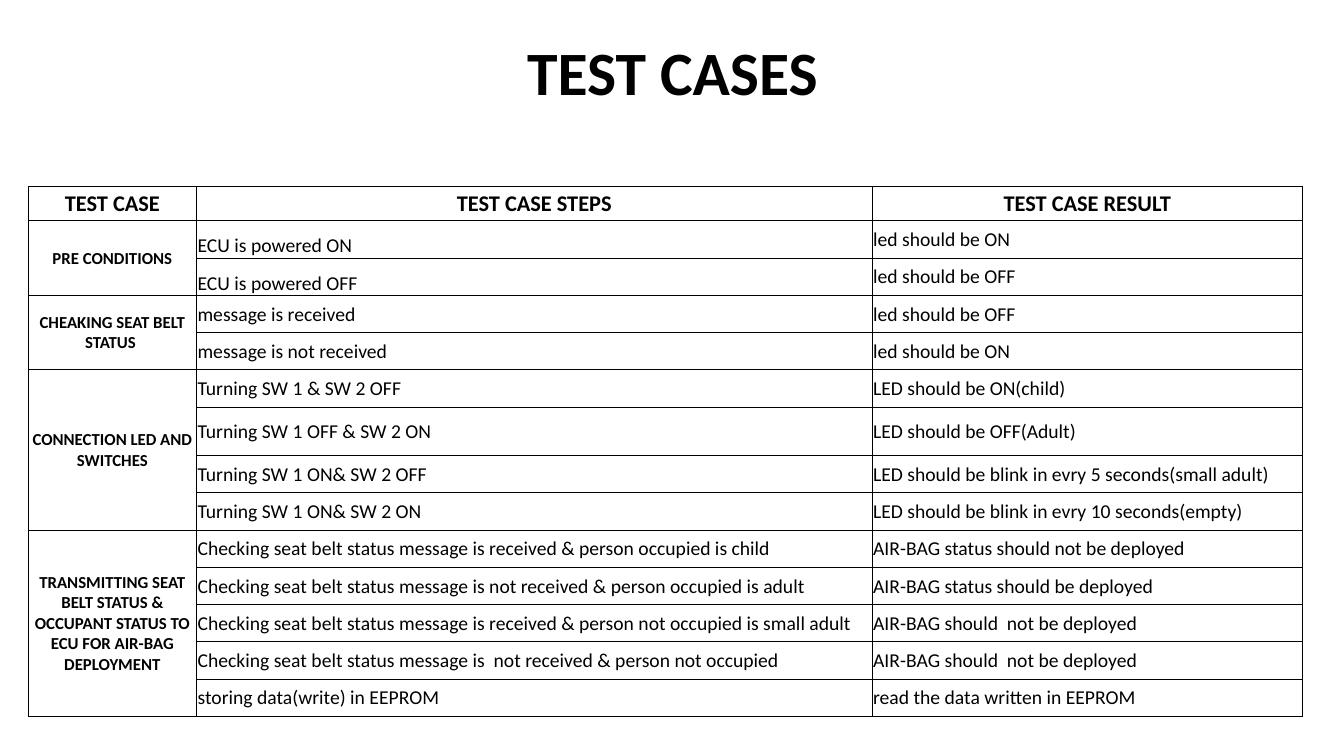
from lxml.etree import SubElement
from pptx import Presentation
from pptx.dml.color import RGBColor
from pptx.enum.text import MSO_ANCHOR, PP_ALIGN
from pptx.oxml.ns import qn
from pptx.util import Pt

PX = 9144  # EMU, 100 px to the inch
FONT = "Calibri"
BLACK = RGBColor(0x00, 0x00, 0x00)

HEADERS = ["TEST CASE", "TEST CASE STEPS", "TEST CASE RESULT"]
GROUPS = [
    ("PRE CONDITIONS", [
        ("ECU is powered ON", "led should be ON"),
        ("ECU is powered OFF", "led should be OFF"),
    ]),
    ("CHEAKING SEAT BELT STATUS ", [
        ("message is received", "led should be OFF"),
        ("message is not received", "led should be ON"),
    ]),
    ("CONNECTION LED AND SWITCHES", [
        ("Turning SW 1 & SW 2 OFF", "LED should be ON(child)"),
        ("Turning SW 1 OFF & SW 2 ON", "LED should be OFF(Adult)"),
        ("Turning SW 1 ON& SW 2 OFF",
         "LED should be blink in evry 5 seconds(small adult)"),
        ("Turning SW 1 ON& SW 2 ON",
         "LED should be blink in evry 10 seconds(empty)"),
    ]),
    ("TRANSMITTING SEAT BELT STATUS & OCCUPANT STATUS TO ECU FOR AIR-BAG DEPLOYMENT", [
        ("Checking seat belt status message is received & person occupied is child",
         "AIR-BAG status should not be deployed"),
        ("Checking seat belt status message is not received & person occupied is adult",
         "AIR-BAG status should be deployed"),
        ("Checking seat belt status message is received & person not occupied is small adult",
         "AIR-BAG should  not be deployed"),
        ("Checking seat belt status message is  not received & person not occupied",
         "AIR-BAG should  not be deployed"),
        ("storing data(write) in EEPROM", "read the data written in EEPROM"),
    ]),
]
COL_WIDTHS = [167, 670, 427]
HEADER_HEIGHT, ROW_HEIGHT, TALL_HEIGHT = 34, 37, 48
TALL_ROW = 6
PRECONDITION_ROWS = (1, 2)


def add_run(p, text, size, bold):
    r = p.add_run()
    r.text = text
    r.font.name = FONT
    r.font.size = Pt(size)
    r.font.bold = bold
    r.font.color.rgb = BLACK


def add_title(s, text):
    sp = s.shapes.add_textbox(92 * PX, 40 * PX, 1150 * PX, 69 * PX)
    tf = sp.text_frame
    tf.word_wrap = True
    tf.vertical_anchor = MSO_ANCHOR.MIDDLE
    p = tf.paragraphs[0]
    p.alignment = PP_ALIGN.CENTER
    p.line_spacing = 0.9
    add_run(p, text, 44, True)


def style_cell(cell):
    """Give the cell thin black borders, narrow margins and no fill."""
    tc_pr = cell._tc.get_or_add_tcPr()
    for side in ("a:lnL", "a:lnR", "a:lnT", "a:lnB"):
        ln = SubElement(tc_pr, qn(side), w=str(Pt(0.5)))
        fill = SubElement(ln, qn("a:solidFill"))
        SubElement(fill, qn("a:srgbClr"), val=str(BLACK))
    cell.fill.background()
    cell.margin_left = cell.margin_right = cell.margin_top = PX
    cell.margin_bottom = 0
    cell.vertical_anchor = MSO_ANCHOR.MIDDLE


def write_cell(cell, text, size, heading=False):
    p = cell.text_frame.paragraphs[0]
    p.alignment = PP_ALIGN.CENTER if heading else PP_ALIGN.LEFT
    add_run(p, text, size, heading)


def add_test_table(s, left, top):
    heights = [HEADER_HEIGHT] + [ROW_HEIGHT] * sum(len(cases) for _, cases in GROUPS)
    heights[TALL_ROW] = TALL_HEIGHT
    frame = s.shapes.add_table(len(heights), len(COL_WIDTHS), left * PX, top * PX,
                               sum(COL_WIDTHS) * PX, sum(heights) * PX)
    table = frame.table
    table.first_row = table.horz_banding = False
    for col, width in zip(table.columns, COL_WIDTHS):
        col.width = width * PX
    for row, height in zip(table.rows, heights):
        row.height = height * PX
    for cell in table.iter_cells():
        style_cell(cell)

    for col, text in enumerate(HEADERS):
        write_cell(table.cell(0, col), text, 16, heading=True)
    row = 1
    for name, cases in GROUPS:
        first = table.cell(row, 0)
        first.merge(table.cell(row + len(cases) - 1, 0))
        write_cell(first, name, 12, heading=True)
        for step, result in cases:
            write_cell(table.cell(row, 1), step, 14)
            write_cell(table.cell(row, 2), result, 14)
            row += 1
    for row in PRECONDITION_ROWS:
        table.cell(row, 1).vertical_anchor = MSO_ANCHOR.BOTTOM


def main():
    prs = Presentation()
    prs.slide_width = 1333 * PX
    prs.slide_height = 750 * PX
    s = prs.slides.add_slide(prs.slide_layouts[6])
    add_title(s, "TEST CASES")
    add_test_table(s, 28, 185)
    prs.save("out.pptx")


if __name__ == "__main__":
    main()
